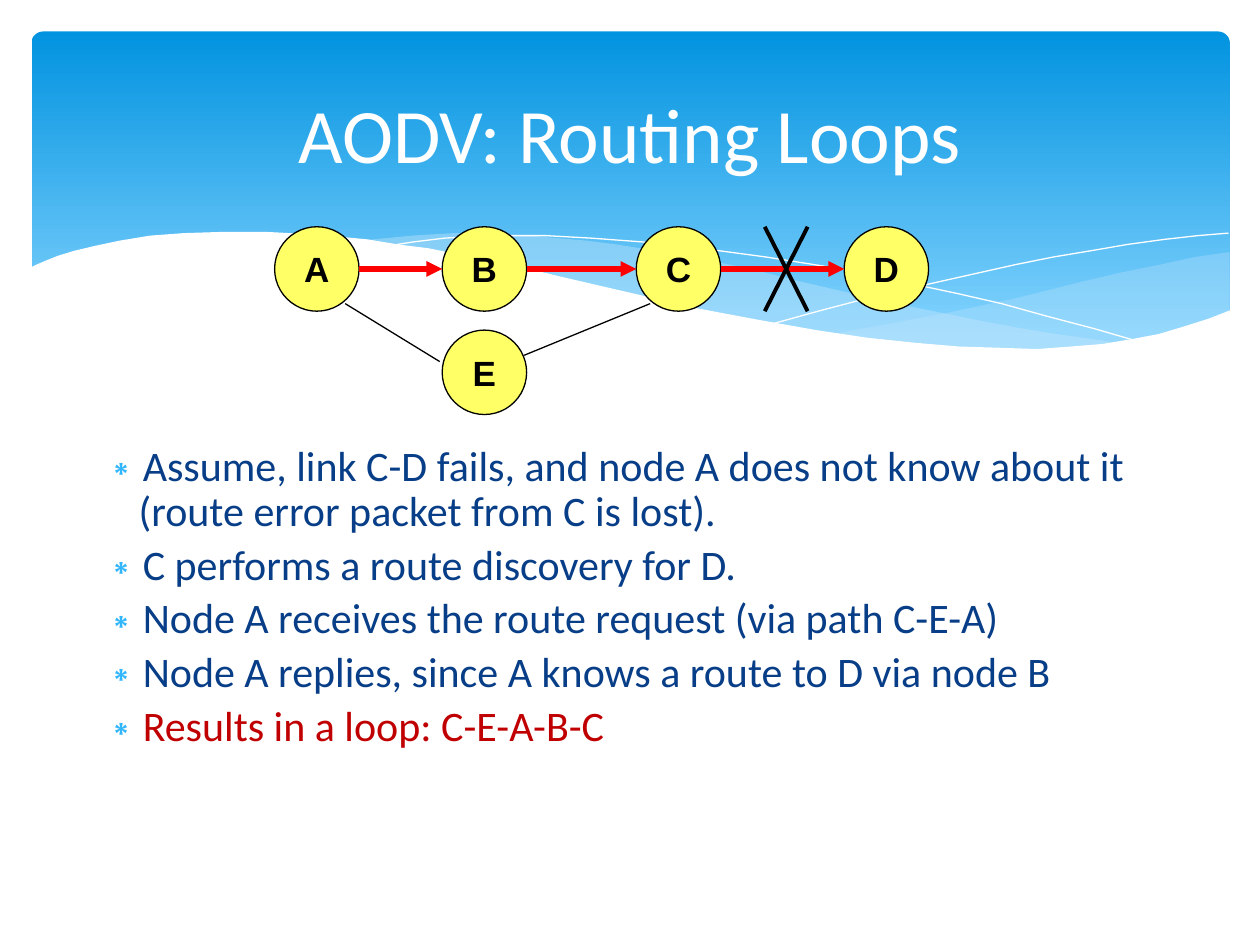
from lxml.etree import SubElement
from pptx import Presentation
from pptx.dml.color import RGBColor
from pptx.enum.shapes import MSO_CONNECTOR, MSO_SHAPE
from pptx.enum.text import MSO_ANCHOR, MSO_AUTO_SIZE, PP_ALIGN
from pptx.oxml.ns import qn
from pptx.util import Inches, Pt

WHITE = RGBColor(0xFF, 0xFF, 0xFF)
BLACK = RGBColor(0, 0, 0)
RED = RGBColor(0xFF, 0, 0)
DARK_RED = RGBColor(0xC0, 0, 0)
YELLOW = RGBColor(0xFF, 0xFF, 0x66)
NAVY = RGBColor(0x07, 0x3E, 0x87)
BULLET_BLUE = RGBColor(0x31, 0xB6, 0xFD)
PALE_BLUE = RGBColor(0xC6, 0xE7, 0xFC)
BANNER_TOP = RGBColor(0x02, 0x93, 0xE0)
BANNER_BOTTOM = RGBColor(0x83, 0xD3, 0xFE)

TITLE = "AODV: Routing Loops"
POINTS = [
    ("Assume, link C-D fails, and node A does not know about it "
     "(route error packet from C is lost).", NAVY),
    ("C performs a route discovery for D.", NAVY),
    ("Node A receives the route request (via path C-E-A)", NAVY),
    ("Node A replies, since A knows a route to D via node B", NAVY),
    ("Results in a loop: C-E-A-B-C", DARK_RED),
]

NODE_SIZE = 0.67
ROW_TOP = 1.8
NODES = {"A": (2.18, ROW_TOP), "B": (3.51, ROW_TOP), "C": (5.05, ROW_TOP),
         "D": (6.7, ROW_TOP), "E": (3.51, 2.62)}
ROUTE = ["A", "B", "C", "D"]
PLAIN_LINKS = [((2.74, 2.41), (3.49, 2.87)), ((4.16, 2.82), (5.16, 2.41))]
CROSS_LEFT, CROSS_RIGHT = 6.07, 6.41

# Banner waves: points, fill opacity in percent
PALE_WAVES = [
    ([(9.76, 2), (9.48, 2.04), (9.21, 2.1), (8.91, 2.16), (8.61, 2.23),
      (8.05, 2.37), (7.53, 2.48), (7.06, 2.57), (6.61, 2.65), (6.91, 2.69),
      (7.19, 2.72), (7.45, 2.75), (7.69, 2.77), (8.03, 2.78), (8.35, 2.77),
      (8.63, 2.75), (8.89, 2.72), (9.13, 2.67), (9.35, 2.62), (9.49, 2.57),
      (9.63, 2.52), (9.76, 2.47)], 29),
    ([(8.93, 2.73), (8.66, 2.69), (8.37, 2.65), (8.07, 2.6), (7.75, 2.54),
      (7.41, 2.47), (7.06, 2.4), (6.68, 2.31), (6.29, 2.22), (5.98, 2.14),
      (5.69, 2.08), (5.41, 2.03), (5.14, 1.98), (4.89, 1.94), (4.65, 1.91),
      (4.42, 1.89), (4.2, 1.87), (3.99, 1.86), (3.8, 1.85), (3.61, 1.85),
      (3.28, 1.87), (2.86, 1.91), (3.23, 1.96), (3.62, 2.03), (4.04, 2.11),
      (4.49, 2.22), (4.91, 2.32), (5.3, 2.4), (5.66, 2.48), (6.01, 2.55),
      (6.34, 2.61), (6.65, 2.66), (6.95, 2.7), (7.22, 2.74), (7.48, 2.76),
      (7.85, 2.78), (8.28, 2.78), (8.57, 2.77), (8.76, 2.75)], 40),
]
WAVE_LINES = [
    [(3.09, 1.95), (3.28, 1.92), (3.53, 1.89), (3.87, 1.87), (4.33, 1.87),
     (4.69, 1.89), (5.1, 1.92), (5.56, 1.97), (6.08, 2.04), (6.65, 2.13),
     (6.95, 2.19), (7.27, 2.26), (7.6, 2.33), (7.95, 2.41), (8.31, 2.51),
     (8.69, 2.61), (9.07, 2.72)],
    [(6.13, 2.57), (6.53, 2.46), (6.95, 2.35), (7.48, 2.23), (8.06, 2.1),
     (8.36, 2.04), (8.66, 1.99), (8.95, 1.94), (9.24, 1.9), (9.51, 1.87),
     (9.75, 1.85)],
]
WHITE_WAVE = [
    (9.77, 2.46), (9.59, 2.53), (9.4, 2.59), (9.2, 2.65), (8.99, 2.69),
    (8.75, 2.73), (8.5, 2.75), (8.23, 2.77), (7.93, 2.76), (7.61, 2.75),
    (7.26, 2.72), (6.88, 2.68), (6.48, 2.62), (6.03, 2.54), (5.55, 2.45),
    (5.03, 2.33), (4.47, 2.2), (4.18, 2.13), (3.91, 2.07), (3.65, 2.02),
    (3.4, 1.97), (3.16, 1.94), (2.92, 1.9), (2.71, 1.88), (2.5, 1.86),
    (2.3, 1.85), (2.11, 1.84), (1.77, 1.84), (1.46, 1.85), (1.19, 1.87),
    (0.95, 1.91), (0.76, 1.95), (0.59, 1.99), (0.46, 2.03), (0.36, 2.07),
    (0.29, 2.1), (0.23, 2.13), (0.23, 3.29), (9.77, 3.29)]


def place(shape, left, top, width, height):
    shape.left, shape.top = Inches(left), Inches(top)
    shape.width, shape.height = Inches(width), Inches(height)


def add_wave(slide, points, fill=None, opacity=100):
    """Draw a filled outline, or an open white hairline when fill is None."""
    start, *rest = [(Inches(x), Inches(y)) for x, y in points]
    builder = slide.shapes.build_freeform(*start)
    builder.add_line_segments(rest, close=fill is not None)
    shape = builder.convert_to_shape()
    shape.shadow.inherit = False
    if fill is None:
        shape.fill.background()
        shape.line.color.rgb = WHITE
        shape.line.width = Pt(0)
        return
    shape.line.fill.background()
    shape.fill.solid()
    shape.fill.fore_color.rgb = fill
    if opacity < 100:
        color = shape._element.spPr.find(qn("a:solidFill"))[0]
        SubElement(color, qn("a:alpha"), val=str(opacity * 1000))


def add_banner(slide):
    banner = slide.shapes.add_shape(MSO_SHAPE.ROUNDED_RECTANGLE, 0, 0, 0, 0)
    place(banner, 0.25, 0.25, 9.51, 2.7)
    banner.adjustments[0] = 0.034
    banner.shadow.inherit = False
    banner.line.fill.background()
    banner.fill.gradient()
    banner.fill.gradient_angle = 270
    colors = [(0, BANNER_TOP), (0.9, BANNER_BOTTOM)]
    for stop, (position, color) in zip(banner.fill.gradient_stops, colors):
        stop.position = position
        stop.color.rgb = color
    for points, opacity in PALE_WAVES:
        add_wave(slide, points, PALE_BLUE, opacity)
    for points in WAVE_LINES:
        add_wave(slide, points)
    add_wave(slide, WHITE_WAVE, WHITE)


def set_font(paragraph, name, size, color, bold=False):
    font = paragraph.font
    font.name, font.size, font.bold = name, Pt(size), bold
    font.color.rgb = color


def fill_title(title):
    place(title, 0.5, 0.37, 9, 1.37)
    title.text_frame.text = TITLE
    title.text_frame.vertical_anchor = MSO_ANCHOR.MIDDLE
    title.text_frame.auto_size = MSO_AUTO_SIZE.NONE
    paragraph = title.text_frame.paragraphs[0]
    paragraph.alignment = PP_ALIGN.CENTER
    set_font(paragraph, "Calibri", 44, WHITE)


def fill_body(body):
    place(body, 0.7, 3.48, 8.75, 2.97)
    frame = body.text_frame
    frame.text = "\n".join(text for text, _ in POINTS)
    frame.auto_size = MSO_AUTO_SIZE.NONE
    for index, (paragraph, (_, color)) in enumerate(zip(frame.paragraphs, POINTS)):
        paragraph.line_spacing = 0.9
        paragraph.space_before = Pt(4.8 if index else 0)
        properties = paragraph._p.get_or_add_pPr()
        properties.set("marL", str(Inches(0.3)))
        properties.set("indent", str(-Inches(0.3)))
        bullet_color = SubElement(properties, qn("a:buClr"))
        SubElement(bullet_color, qn("a:srgbClr"), val=str(BULLET_BLUE))
        SubElement(properties, qn("a:buChar"), char="∗")
        set_font(paragraph, "Calibri", 24, color)


def add_node(slide, name, left, top):
    node = slide.shapes.add_shape(MSO_SHAPE.OVAL, 0, 0, 0, 0)
    place(node, left, top, NODE_SIZE, NODE_SIZE)
    node.shadow.inherit = False
    node.fill.solid()
    node.fill.fore_color.rgb = YELLOW
    node.line.color.rgb = BLACK
    node.line.width = Pt(0.75)
    node.text_frame.text = name
    node.text_frame.word_wrap = False
    node.text_frame.vertical_anchor = MSO_ANCHOR.MIDDLE
    paragraph = node.text_frame.paragraphs[0]
    paragraph.alignment = PP_ALIGN.CENTER
    set_font(paragraph, "Arial", 20, BLACK, bold=True)


def add_line(slide, start, end, color=BLACK, width=0.75, arrow=False):
    ends = [Inches(value) for value in (*start, *end)]
    line = slide.shapes.add_connector(MSO_CONNECTOR.STRAIGHT, *ends)
    line.line.color.rgb = color
    line.line.width = Pt(width)
    if arrow:
        SubElement(line.line._get_or_add_ln(), qn("a:tailEnd"), type="triangle")
    SubElement(line._element.spPr, qn("a:effectLst"))


def add_network(slide):
    for name, (left, top) in NODES.items():
        add_node(slide, name, left, top)
    middle, bottom = ROW_TOP + NODE_SIZE / 2, ROW_TOP + NODE_SIZE
    for source, target in zip(ROUTE, ROUTE[1:]):
        add_line(slide, (NODES[source][0] + NODE_SIZE, middle),
                 (NODES[target][0], middle), RED, 3, arrow=True)
    for x1, x2 in [(CROSS_LEFT, CROSS_RIGHT), (CROSS_RIGHT, CROSS_LEFT)]:
        add_line(slide, (x1, ROW_TOP), (x2, bottom), width=2.25)
    for start, end in PLAIN_LINKS:
        add_line(slide, start, end)


def main():
    presentation = Presentation()
    presentation.slide_width, presentation.slide_height = Inches(10), Inches(7.5)
    slide = presentation.slides.add_slide(presentation.slide_layouts[1])
    title, body = slide.placeholders
    add_banner(slide)
    for placeholder in (title, body):  # bring the text in front of the banner
        slide.shapes._spTree.append(placeholder._element)
    fill_title(title)
    fill_body(body)
    add_network(slide)
    presentation.save("out.pptx")


if __name__ == "__main__":
    main()
